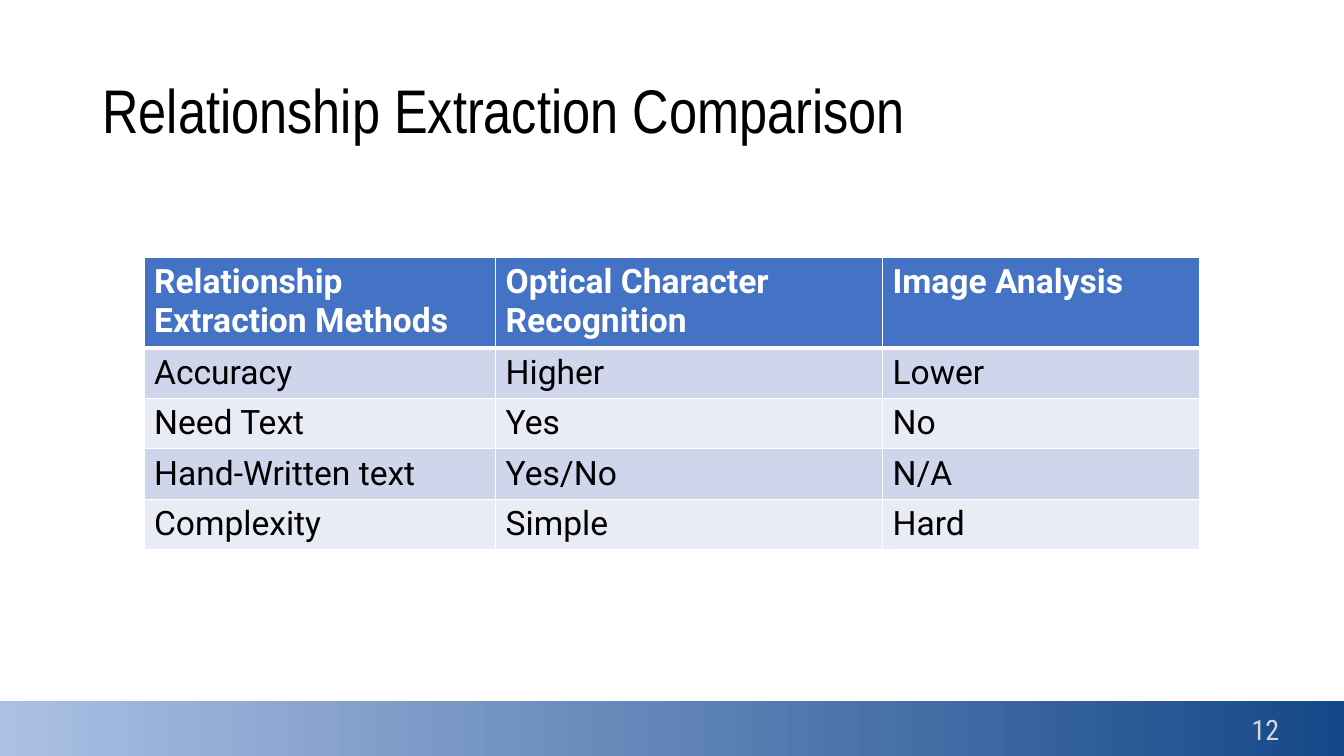
from dataclasses import dataclass

from lxml import etree
from pptx import Presentation
from pptx import util as u
from pptx.dml.color import RGBColor
from pptx.enum import shapes, text
from pptx.oxml import ns


@dataclass(frozen=True)
class Theme:
    white: str = "FFFFFF"
    black: str = "000000"
    header: str = "4472C4"
    bands: tuple[str, str] = ("CFD5EA", "E9EBF5")
    footer: tuple[str, str] = ("ABC0E4", "154889")
    number: str = "D9D9D9"
    title_size: int = 44
    table_size: int = 24
    number_size: int = 20
    thin: int = 1
    thick: int = 3


@dataclass(frozen=True)
class Box:
    left: float
    top: float
    width: float
    height: float

    def lengths(self) -> list[u.Length]:
        return [u.Cm(n) for n in (self.left, self.top, self.width, self.height)]


@dataclass(frozen=True)
class Style:
    font: str
    size: int
    color: str
    bold: bool = False


@dataclass(frozen=True)
class Label:
    words: str
    box: Box
    style: Style
    align: text.PP_ALIGN
    spacing: float = 1.0


THEME = Theme()
LABELS = [
    Label("Relationship Extraction Comparison", Box(2.33, 1.01, 29.21, 3.68),
          Style("Arial Narrow", THEME.title_size, THEME.black),
          text.PP_ALIGN.LEFT, 0.9),
    Label("12", Box(24.87, 17.86, 7.62, 1.01),
          Style("Roboto Condensed", THEME.number_size, THEME.number),
          text.PP_ALIGN.RIGHT),
]
FOOTER_BOX = Box(0, 17.67, 33.87, 1.4)
TABLE_BOX = Box(3.63, 6.48, 26.61, 6.24)
COLUMN_WIDTHS = (8.86, 9.75, 8.0)
HEADER_HEIGHT, ROW_HEIGHT = 2.08, 1.04
COMPARISON = [
    ("Relationship Extraction Methods", "Optical Character Recognition",
     "Image Analysis"),
    ("Accuracy", "Higher", "Lower"),
    ("Need Text", "Yes", "No"),
    ("Hand-Written text", "Yes/No", "N/A"),
    ("Complexity", "Simple", "Hard"),
]


def style_text(frame, style: Style) -> None:
    for para in frame.paragraphs:
        for span in para.runs:
            span.font.name = style.font
            span.font.size = u.Pt(style.size)
            span.font.bold = style.bold
            span.font.color.rgb = RGBColor.from_string(style.color)


def add_label(page, label: Label) -> None:
    frame = page.shapes.add_textbox(*label.box.lengths()).text_frame
    frame.word_wrap = True
    frame.vertical_anchor = text.MSO_ANCHOR.MIDDLE
    frame.text = label.words
    para = frame.paragraphs[0]
    para.alignment = label.align
    para.line_spacing = label.spacing
    style_text(frame, label.style)


def add_footer(page) -> None:
    band = page.shapes.add_shape(shapes.MSO_SHAPE.RECTANGLE, *FOOTER_BOX.lengths())
    band.shadow.inherit = False
    band.line.fill.background()
    band.fill.gradient()
    band.fill.gradient_angle = 0
    for stop, color in zip(band.fill.gradient_stops, THEME.footer):
        stop.color.rgb = RGBColor.from_string(color)


def set_borders(cell, top: int, bottom: int) -> None:
    properties = cell._tc.get_or_add_tcPr()
    widths = {"lnL": THEME.thin, "lnR": THEME.thin, "lnT": top, "lnB": bottom}
    # Borders come before the fill in the cell properties
    for position, (side, width) in enumerate(widths.items()):
        line = etree.Element(ns.qn(f"a:{side}"), w=str(u.Pt(width)))
        fill = etree.SubElement(line, ns.qn("a:solidFill"))
        etree.SubElement(fill, ns.qn("a:srgbClr"), val=THEME.white)
        properties.insert(position, line)


def add_comparison(page) -> None:
    table = page.shapes.add_table(
        len(COMPARISON), len(COLUMN_WIDTHS), *TABLE_BOX.lengths()).table
    for column, width in zip(table.columns, COLUMN_WIDTHS):
        column.width = u.Cm(width)
    for index, words in enumerate(COMPARISON):
        is_header = index == 0
        table.rows[index].height = u.Cm(HEADER_HEIGHT if is_header else ROW_HEIGHT)
        fill = THEME.header if is_header else THEME.bands[(index - 1) % 2]
        style = Style("Roboto", THEME.table_size,
                      THEME.white if is_header else THEME.black, is_header)
        top = THEME.thick if index == 1 else THEME.thin
        bottom = THEME.thick if is_header else THEME.thin
        for cell, word in zip(table.rows[index].cells, words):
            cell.text_frame.text = word
            style_text(cell.text_frame, style)
            cell.fill.solid()
            cell.fill.fore_color.rgb = RGBColor.from_string(fill)
            set_borders(cell, top, bottom)


def main() -> None:
    deck = Presentation()
    deck.slide_width, deck.slide_height = u.Cm(33.87), u.Cm(19.05)
    page = deck.slides.add_slide(deck.slide_layouts[6])
    # Footer band, then title and page number, then the table
    add_footer(page)
    for label in LABELS:
        add_label(page, label)
    add_comparison(page)
    deck.save("out.pptx")


if __name__ == "__main__":
    main()
